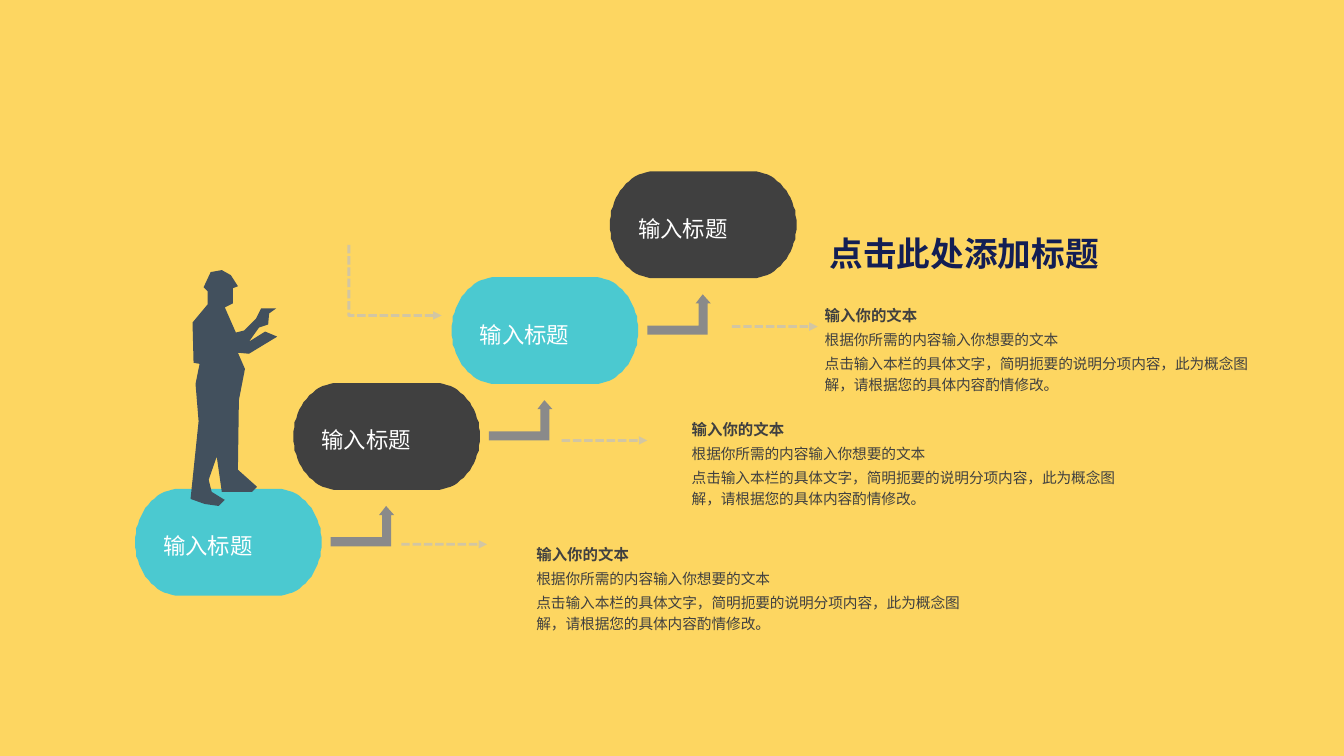
from math import cos, radians, sin

from lxml.etree import SubElement
from pptx import Presentation
from pptx.dml.color import RGBColor
from pptx.enum.dml import MSO_LINE
from pptx.enum.shapes import MSO_CONNECTOR
from pptx.enum.text import MSO_ANCHOR as Anchor, MSO_AUTO_SIZE as AutoSize, PP_ALIGN as Align
from pptx.oxml.ns import qn
from pptx.util import Pt

PX = 9144  # EMU in one px, 100 px to the inch
COLORS = {
    "background": "FDD661", "teal": "4BC9D0", "dark": "404040", "step": "8A8A8A",
    "guide": "C0C0C0", "worker": "42505D", "title": "131E54", "white": "FFFFFF",
}
CJK = "Noto Sans CJK SC"
STEP_X, STEP_Y = 157, -105
PILL_LEFT, PILL_TOP = 134, 485

TITLE_FORMAT = {
    "word_wrap": True, "vertical_anchor": Anchor.TOP,
    "auto_size": AutoSize.SHAPE_TO_FIT_TEXT,
}
BODY_FORMAT = {
    **TITLE_FORMAT, "margin_left": 12 * PX, "margin_right": 12 * PX,
    "margin_top": 6 * PX, "margin_bottom": 6 * PX,
}
LABEL_FORMAT = {
    "word_wrap": True, "vertical_anchor": Anchor.MIDDLE,
    **dict.fromkeys(("margin_left", "margin_right", "margin_top", "margin_bottom"), 0),
}
BODY_LINES = [
    ("输入你的文本", 11, True),
    ("根据你所需的内容输入你想要的文本", 10.5, False),
    ("点击输入本栏的具体文字，简明扼要的说明分项内容，此为概念图解，"
     "请根据您的具体内容酌情修改。", 10.5, False),
]

# Outline of the worker: head, arm with clipboard, front leg, back leg, back
WORKER = [
    (206, 289), (202, 285), (209, 270), (220, 268), (229, 273), (236, 284), (231, 286),
    (231, 301), (223, 305), (234, 330), (242, 328), (254, 316), (259, 306), (274, 306),
    (267, 311), (266, 322), (257, 325), (247, 339), (263, 329), (275, 334), (247, 351),
    (236, 350), (243, 366), (237, 397), (236, 466), (255, 483), (250, 488), (220, 488),
    (215, 453), (207, 476), (210, 488), (223, 496), (217, 502), (203, 500), (189, 495),
    (197, 418), (194, 381), (198, 361), (192, 360), (191, 320), (206, 302),
]

presentation = Presentation()
presentation.slide_width, presentation.slide_height = 1333 * PX, 750 * PX
slide = presentation.slides.add_slide(presentation.slide_layouts[5])
slide.background.fill.solid()
slide.background.fill.fore_color.rgb = RGBColor.from_string(COLORS["background"])
shapes = slide.shapes


def add_outline(points, color=None):
    """Closed filled outline, or an open unfilled one without a colour."""
    builder = shapes.build_freeform(*points[0], scale=PX)
    builder.add_line_segments(points[1:], close=color is not None)
    shape = builder.convert_to_shape()
    shape.shadow.inherit = False
    if color:
        shape.fill.solid()
        shape.fill.fore_color.rgb = RGBColor.from_string(COLORS[color])
        shape.line.fill.background()
    else:
        shape.fill.background()
    return shape


def write_text(shape, lines, frame_format, paragraph_format, font_name, color):
    """Fill a shape with (text, size, bold) paragraphs."""
    frame = shape.text_frame
    for name, value in frame_format.items():
        setattr(frame, name, value)
    for index, (text, size, bold) in enumerate(lines):
        paragraph = frame.add_paragraph() if index else frame.paragraphs[0]
        for name, value in paragraph_format.items():
            setattr(paragraph, name, value)
        run = paragraph.add_run()
        run.text = text
        for name, value in {"size": Pt(size), "bold": bold, "name": font_name}.items():
            setattr(run.font, name, value)
        run.font.color.rgb = RGBColor.from_string(COLORS[color])
        east_asian = SubElement(run.font._element, qn("a:ea"))
        east_asian.set("typeface", font_name)


# Bent arrows between the steps
ARROW = [(55, 0), (48, 9), (51, 9), (51, 31), (0, 31), (0, 40), (60, 40), (60, 9), (63, 9)]
for step in range(3):
    left, top = 328 + step * STEP_X, 502 + step * STEP_Y
    add_outline([(left + x, top + y) for x, y in ARROW], "step")

# Pills: two half ellipses joined by straight edges
for step in range(4):
    left, top = PILL_LEFT + step * STEP_X, PILL_TOP + step * STEP_Y
    pill = []
    for center_x, start in ((left + 141, -90), (left + 44, 90)):
        for angle in range(start, start + 181, 5):
            pill.append((center_x + 44 * cos(radians(angle)),
                         top + 53 + 53 * sin(radians(angle))))
    add_outline(pill, "dark" if step % 2 else "teal")

# Pill labels
for step in range(4):
    left, top = PILL_LEFT + 28 + step * STEP_X, PILL_TOP + 41 + step * STEP_Y
    label = shapes.add_textbox(left * PX, top * PX, 217 * PX, 31 * PX)
    write_text(label, [("输入标题", 16, False)], LABEL_FORMAT, {}, "Open Sans", "white")

# Worker
add_outline(WORKER, "worker")

# Dashed guides
guides = [add_outline([(346, 243), (346, 313), (438, 313)])]
for left, top in ((398, 540), (557, 437), (726, 324)):
    guides.append(shapes.add_connector(
        MSO_CONNECTOR.STRAIGHT, left * PX, top * PX, (left + 85) * PX, top * PX))
for guide in guides:
    line = guide.line
    line.color.rgb = RGBColor.from_string(COLORS["guide"])
    line.width = Pt(2)
    line.dash_style = MSO_LINE.SQUARE_DOT
    line_xml = guide._element.spPr.find(qn("a:ln"))
    SubElement(line_xml.find(".//" + qn("a:srgbClr")), qn("a:alpha")).set("val", "70000")
    SubElement(line_xml, qn("a:tailEnd")).set("type", "triangle")
for connector in guides[1:]:
    SubElement(connector._element.spPr, qn("a:effectLst"))

# Explanations
for left, top in ((520, 531), (674, 407), (806, 294)):
    body = shapes.add_textbox(left * PX, top * PX, 458 * PX, 105 * PX)
    write_text(body, BODY_LINES, BODY_FORMAT,
               {"line_spacing": 1.2, "space_before": Pt(2)}, CJK, "dark")

# Title
title = shapes.title
for name, value in {"left": 813, "top": 222, "width": 300, "height": 55}.items():
    setattr(title, name, value * PX)
write_text(title, [("点击此处添加标题", 24, True)], TITLE_FORMAT,
           {"line_spacing": 1.1, "alignment": Align.LEFT}, CJK, "title")

presentation.save("out.pptx")
